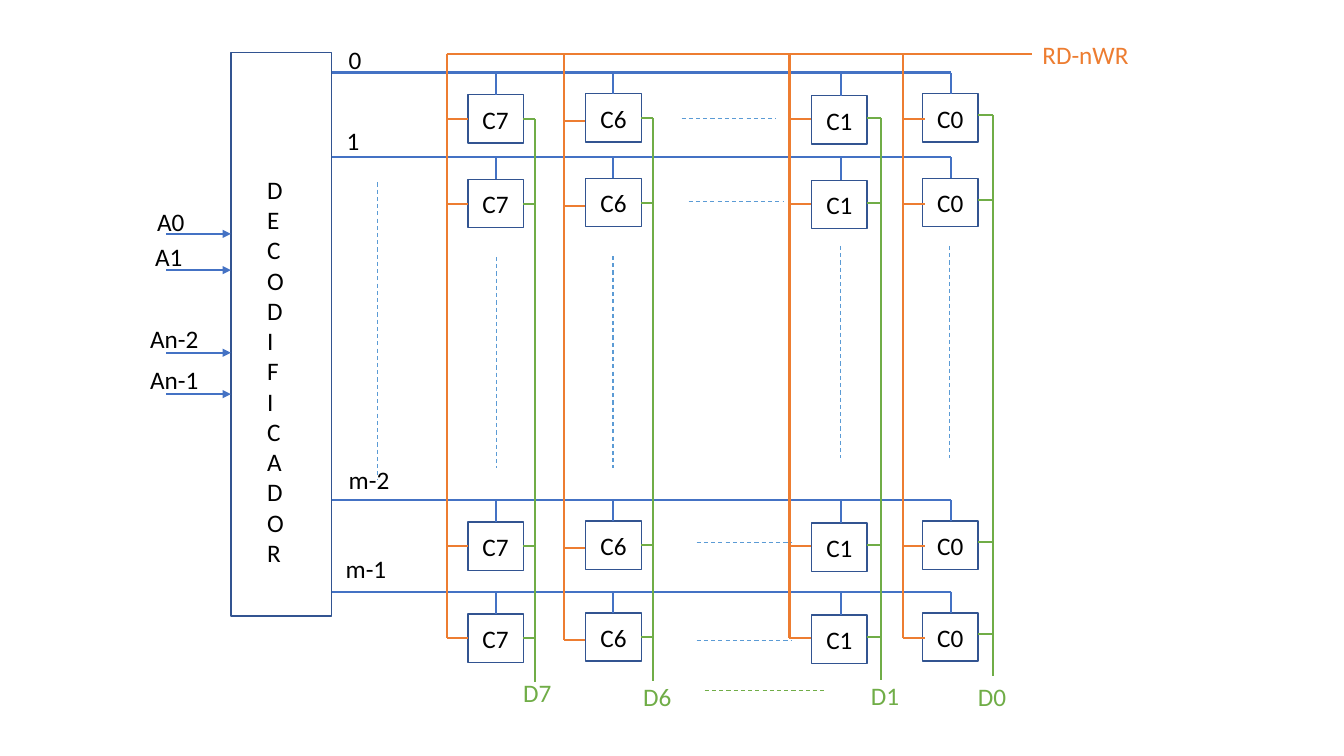
from lxml import etree
from pptx import Presentation
from pptx.dml.color import RGBColor
from pptx.enum.dml import MSO_LINE
from pptx.enum.shapes import MSO_CONNECTOR, MSO_SHAPE
from pptx.enum.text import MSO_ANCHOR, PP_ALIGN
from pptx.oxml.ns import qn
from pptx.util import Inches, Pt

STRAIGHT, RECTANGLE = MSO_CONNECTOR.STRAIGHT, MSO_SHAPE.RECTANGLE
DASH = MSO_LINE.DASH
LEFT, CENTER = PP_ALIGN.LEFT, PP_ALIGN.CENTER
TOP, MIDDLE = MSO_ANCHOR.TOP, MSO_ANCHOR.MIDDLE

WORD_BLUE, OUTLINE_BLUE, GAP_BLUE = "4472C4", "325491", "5B9BD5"
DATA_GREEN, CONTROL_ORANGE, BLACK = "70AD47", "ED7D31", "000000"
DECODER_RIGHT, CONTROL_Y, CELL_WIDTH = 3.29, 0.54, 0.55

deck = Presentation()
deck.slide_width, deck.slide_height = Inches(13.33), Inches(7.5)
slide = deck.slides.add_slide(deck.slide_layouts[6])


def wire(x1, y1, x2, y2, color, dashed=False, arrow=False):
    connector = slide.shapes.add_connector(STRAIGHT, *map(Inches, (x1, y1, x2, y2)))
    connector.line.color.rgb = RGBColor.from_string(color)
    connector.line.width = Pt(0.75 if dashed else 1.5)
    if dashed:
        connector.line.dash_style = DASH
    if arrow:
        etree.SubElement(connector.line._get_or_add_ln(), qn("a:tailEnd"), type="triangle")
    etree.SubElement(connector._element.spPr, qn("a:effectLst"))


def label(text, left, top, width, height=0.4, color=BLACK, boxed=False, **frame_format):
    area = [Inches(length) for length in (left, top, width, height)]
    if boxed:
        holder = slide.shapes.add_shape(RECTANGLE, *area)
        holder.shadow.inherit = False
        holder.fill.background()
        holder.line.color.rgb = RGBColor.from_string(OUTLINE_BLUE)
        holder.line.width = Pt(1)
    else:
        holder = slide.shapes.add_textbox(*area)
    frame_values = {
        "word_wrap": False,
        "vertical_anchor": MIDDLE if boxed else TOP,
        **frame_format,
    }
    for name, value in frame_values.items():
        setattr(holder.text_frame, name, value)
    if text:
        paragraph = holder.text_frame.paragraphs[0]
        paragraph.alignment = CENTER if boxed else LEFT
        run = paragraph.add_run()
        run.text = text
        for name, value in {"name": "Calibri", "size": Pt(18)}.items():
            setattr(run.font, name, value)
        run.font.color.rgb = RGBColor.from_string(color)


label("", 2.29, 0.52, 1, 5.59, boxed=True)
label("DECODIFICADOR", 2.65, 1.68, 0.1, 4.04, word_wrap=True, margin_left=0, margin_right=0)

address_inputs = [
    ("A0", 1.46, 2, 0.52, 2.32),
    ("A1", 1.44, 2.34, 0.52, 2.68),
    ("An-2", 1.39, 3.16, 0.68, 3.5),
    ("An-1", 1.39, 3.57, 0.69, 3.91),
]
for address, left, top, width, arrow_y in address_inputs:
    wire(1.65, arrow_y, 2.29, arrow_y, WORD_BLUE, arrow=True)
    label(address, left, top, width)

word_lines = [
    ("0", 3.36, 0.39, 0.33, 0.72),
    ("1", 3.34, 1.19, 0.33, 1.56),
    ("m-2", 3.36, 4.56, 0.61, 4.96),
    ("m-1", 3.33, 5.44, 0.61, 5.87),
]
word_ys = [word[-1] for word in word_lines]
for word, left, top, width, word_y in word_lines:
    wire(DECODER_RIGHT, word_y, 9.43, word_y, WORD_BLUE)
    label(word, left, top, width)

bit_columns = [
    dict(bit=7, cell=4.64, drop=0.22, select=4.92, control=4.43, control_drop=0.46,
         data=5.31, data_drop=0.46, data_end=6.77, output=(5.09, 6.67)),
    dict(bit=6, cell=5.81, drop=0.21, select=6.08, control=5.59, control_drop=0.48,
         data=6.48, data_drop=0.45, data_end=6.76, output=(6.28, 6.71)),
    dict(bit=1, cell=8.05, drop=0.23, select=8.34, control=7.83, control_drop=0.46,
         data=8.74, data_drop=0.45, data_end=6.75, output=(8.54, 6.7)),
    dict(bit=0, cell=9.15, drop=0.21, select=9.43, control=8.96, control_drop=0.46,
         data=9.85, data_drop=0.42, data_end=6.71, output=(9.6, 6.71)),
]
for column in bit_columns:
    cell, select, control, data = (column[k] for k in ("cell", "select", "control", "data"))
    for word_y in word_ys:
        cell_top = word_y + column["drop"]
        control_y = word_y + column["control_drop"]
        data_y = word_y + column["data_drop"]
        label(f"C{column['bit']}", cell, cell_top, CELL_WIDTH, 0.48, boxed=True,
              margin_left=0, margin_right=0, margin_top=0, margin_bottom=0)
        wire(select, word_y, select, cell_top, WORD_BLUE)
        wire(control, control_y, control + 0.21, control_y, CONTROL_ORANGE)
        wire(cell + CELL_WIDTH, data_y, data, data_y, DATA_GREEN)
    wire(control, CONTROL_Y, control, word_ys[-1] + column["control_drop"], CONTROL_ORANGE)
    wire(data, word_ys[0] + column["data_drop"], data, column["data_end"], DATA_GREEN)
    label(f"D{column['bit']}", *column["output"], 0.49, color=DATA_GREEN)

wire(bit_columns[0]["control"], CONTROL_Y, 10.24, CONTROL_Y, CONTROL_ORANGE)
label("RD-nWR", 10.24, 0.34, 1.07, color=CONTROL_ORANGE)

for x, top, bottom in [(3.74, 1.81, 4.76), (4.92, 2.55, 4.64), (6.08, 2.54, 4.64),
                       (8.34, 2.44, 4.54), (9.42, 2.44, 4.54)]:
    wire(x, top, x, bottom, GAP_BLUE, dashed=True)
for left, y in [(6.76, 1.18), (6.83, 2), (6.91, 5.38), (6.91, 6.35)]:
    wire(left, y, left + 0.94, y, GAP_BLUE, dashed=True)
wire(6.99, 6.85, 8.17, 6.85, DATA_GREEN, dashed=True)

deck.save("out.pptx")
